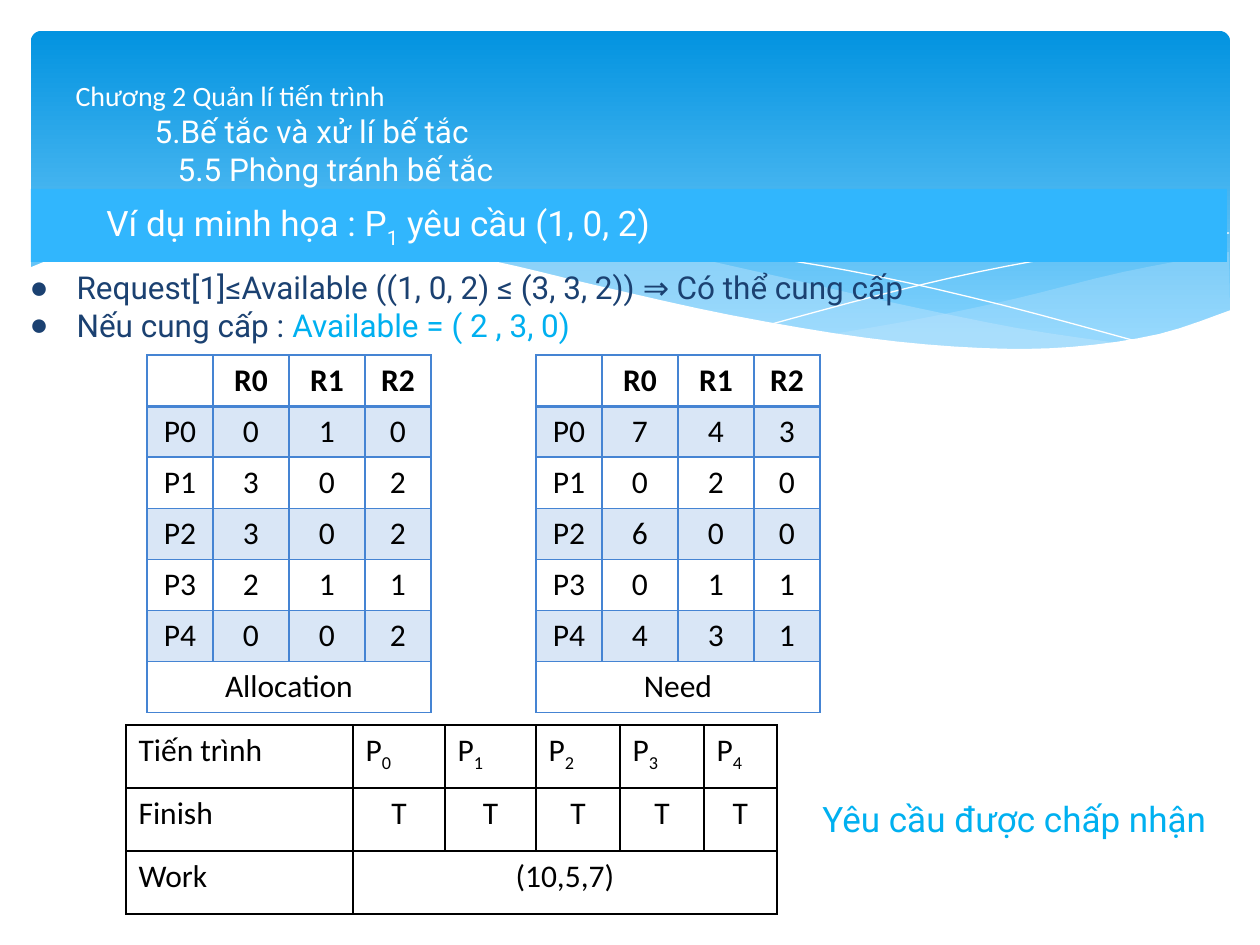
import pptx
import pptx.util
from lxml import etree
from pptx.dml.color import RGBColor
from pptx.enum.shapes import MSO_SHAPE
from pptx.enum.text import MSO_ANCHOR, MSO_AUTO_SIZE, PP_ALIGN
from pptx.oxml.ns import qn

EMU_PER_PX = 914400 / 126
WHITE, BLACK, NAVY, CYAN, TABLE_BLUE = "FFFFFF", "000000", "1B4171", "00B0F0", "4584D3"
CELL = {"name": "Calibri", "size": 18, "color": BLACK, "bold": False}
ROBOTO = {"name": "Roboto", "size": 18}

# Waves: outline points in px, from right to left and back
WAVE_RIGHT = [(1229, 252), (1123, 272), (1014, 299), (919, 319), (833, 334), (905, 344), (984, 349),
              (1063, 349), (1130, 340), (1187, 326), (1230, 311)]
WAVE_LEFT = [(1125, 344), (1017, 328), (890, 302), (772, 275), (664, 252), (556, 238), (455, 234),
             (360, 241), (456, 256), (566, 280), (713, 312), (819, 333), (927, 346), (1017, 352),
             (1125, 344)]
LINE_FALLING = [(389, 246), (457, 238), (546, 236), (643, 242), (766, 257), (876, 276), (1002, 305),
                (1143, 343)]
LINE_RISING = [(772, 324), (876, 296), (978, 272), (1091, 251), (1164, 239), (1229, 233)]
WAVE_WHITE = [(1231, 310), (1159, 334), (1071, 347), (980, 348), (867, 338), (730, 315), (599, 286),
              (493, 261), (397, 244), (315, 234), (223, 232), (134, 238), (74, 251), (29, 268)]

ALLOCATION = ["010", "302", "302", "211", "002"]
NEED = ["743", "020", "600", "011", "431"]


def px(length):
    return round(length * EMU_PER_PX)


def rgb(color):
    return RGBColor.from_string(color)


def set_alpha(fill_parent, percent):
    color = fill_parent.find(qn("a:solidFill"))[0]
    etree.SubElement(color, qn("a:alpha")).set("val", str(percent * 1000))


def place(shape, left, top, width, height):
    box = {"left": left, "top": top, "width": width, "height": height}
    for name, value in box.items():
        setattr(shape, name, px(value))


def add_run(paragraph, text, style):
    run = paragraph.add_run()
    run.text = text
    for name, value in style.items():
        if name == "color":
            run.font.color.rgb = rgb(value)
        elif name == "subscript":
            run._r.get_or_add_rPr().set("baseline", "-25000")
        else:
            setattr(run.font, name, pptx.util.Pt(value) if name == "size" else value)


def write_runs(paragraph, runs, style, align=PP_ALIGN.LEFT, margin=0, bullet=None):
    """Runs are (text, format differences) pairs."""
    values = {"alignment": align, "space_before": pptx.util.Pt(0), "line_spacing": 1.0}
    for name, value in values.items():
        setattr(paragraph, name, value)
    properties = paragraph._p.get_or_add_pPr()
    properties.set("marL", str(px(margin)))
    properties.set("indent", str(-px(margin) if bullet else 0))
    if bullet:
        etree.SubElement(properties, qn("a:buChar")).set("char", bullet)
    for text, changes in runs:
        add_run(paragraph, text, {**style, **changes})


def smooth(points, steps=4):
    """Catmull-Rom curve through the points."""
    padded = [points[0], *points, points[-1]]
    curve = [points[0]]
    for a, b, c, d in zip(padded, padded[1:], padded[2:], padded[3:]):
        for step in range(1, steps + 1):
            t = step / steps
            curve.append(tuple(
                (2 * q + (r - p) * t + (2 * p - 5 * q + 4 * r - s) * t ** 2
                 + (3 * q - p - 3 * r + s) * t ** 3) / 2
                for p, q, r, s in zip(a, b, c, d)))
    return curve


def add_wave(slide, points, fill=None, alpha=100, line=None):
    outline = [(px(x), px(y)) for x, y in points]
    builder = slide.shapes.build_freeform(*outline[0], scale=1.0)
    builder.add_line_segments(outline[1:], close=fill is not None)
    shape = builder.convert_to_shape()
    shape.shadow.inherit = False
    if fill:
        shape.fill.solid()
        shape.fill.fore_color.rgb = rgb(fill)
        set_alpha(shape._element.spPr, alpha)
        shape.line.fill.background()
    else:
        shape.fill.background()
        shape.line.color.rgb = rgb(line)
        shape.line.width = pptx.util.Pt(0)


def add_block(slide, kind, *box):
    shape = slide.shapes.add_shape(kind, *map(px, box))
    shape.shadow.inherit = False
    shape.line.fill.background()
    return shape


def add_banner(slide):
    banner = add_block(slide, MSO_SHAPE.ROUNDED_RECTANGLE, 31, 31, 1199, 340)
    banner.adjustments[0] = 0.03
    banner.fill.gradient()
    banner.fill.gradient_angle = 270
    for stop, position, color in zip(banner.fill.gradient_stops, (0, 0.9), ("0293E0", "83D3FE")):
        stop.position = position
        stop.color.rgb = rgb(color)
    add_wave(slide, smooth(WAVE_RIGHT[:5]) + smooth(WAVE_RIGHT[4:]), "C6E7FC", 29)
    add_wave(slide, smooth(WAVE_LEFT[:8]) + smooth(WAVE_LEFT[7:]), "C6E7FC", 40)
    for points in (LINE_FALLING, LINE_RISING):
        add_wave(slide, smooth(points), line=WHITE)
    add_wave(slide, smooth(WAVE_WHITE) + [(29, 415), (1231, 415)], WHITE)


def format_cell(cell, color, bottom=1, fill=None):
    properties = cell._tc.get_or_add_tcPr()
    for side, width in {"L": 1, "R": 1, "T": 1, "B": bottom}.items():
        border = etree.SubElement(properties, qn(f"a:ln{side}"), w=str(pptx.util.Pt(width)))
        solid = etree.SubElement(border, qn("a:solidFill"))
        etree.SubElement(solid, qn("a:srgbClr"), val=color)
    if fill:
        cell.fill.solid()
        cell.fill.fore_color.rgb = rgb(fill)
        set_alpha(properties, 20)
    else:
        cell.fill.background()


def add_grid(slide, left, top, widths, height, row_count):
    frame = slide.shapes.add_table(row_count, len(widths), px(left), px(top), px(sum(widths)), px(height))
    table = frame.table
    table.first_row = table.horz_banding = False
    for column, width in zip(table.columns, widths):
        column.width = px(width)
    for row in table.rows:
        row.height = px(height / row_count)
    return table


def add_resource_table(slide, left, caption, values):
    rows = [["", "R0", "R1", "R2"]]
    rows += [[f"P{i}", *digits] for i, digits in enumerate(values)] + [[caption, "", "", ""]]
    table = add_grid(slide, left, 355, [66, 76, 76, 66], 353, len(rows))
    last = len(rows) - 1
    table.cell(last, 0).merge(table.cell(last, 3))
    for i, row in enumerate(rows):
        for j, text in enumerate(row):
            cell = table.cell(i, j)
            format_cell(cell, TABLE_BLUE, 2 if i == 0 else 1, TABLE_BLUE if i % 2 else None)
            if text:
                write_runs(cell.text_frame.paragraphs[0], [(text, {"bold": i == 0})], CELL, PP_ALIGN.CENTER)


def add_process_table(slide):
    processes = [[("P", {}), (str(i), {"subscript": True})] for i in range(5)]
    rows = [[[("Tiến trình", {})], *processes],
            [[("Finish", {})]] + [[("T", {})]] * 5,
            [[("Work", {})], [("(10,5,7)", {})]] + [[]] * 4]
    table = add_grid(slide, 126, 725, [227, 92, 91, 84, 84, 73], 189, len(rows))
    table.cell(2, 1).merge(table.cell(2, 5))
    for i, row in enumerate(rows):
        for j, runs in enumerate(row):
            cell = table.cell(i, j)
            format_cell(cell, BLACK)
            if runs:
                align = PP_ALIGN.CENTER if i and j else PP_ALIGN.LEFT
                write_runs(cell.text_frame.paragraphs[0], runs, CELL, align)


def fill_placeholder(slide, shape, box, anchor, lines):
    """Lines are (runs, style, margin, bullet) rows; the shape moves to the front."""
    slide.shapes._spTree.append(shape._element)
    place(shape, *box)
    frame = shape.text_frame
    frame.auto_size = MSO_AUTO_SIZE.NONE
    frame.vertical_anchor = anchor
    for i, (runs, style, margin, bullet) in enumerate(lines):
        paragraph = frame.add_paragraph() if i else frame.paragraphs[0]
        write_runs(paragraph, runs, style, margin=margin, bullet=bullet)


def main():
    presentation = pptx.Presentation()
    presentation.slide_width, presentation.slide_height = px(1260), px(945)
    slide = presentation.slides.add_slide(presentation.slide_layouts[1])
    title, body = slide.placeholders
    add_banner(slide)

    # Title
    heading = {**ROBOTO, "color": WHITE}
    fill_placeholder(slide, title, (63, 47, 1134, 173), MSO_ANCHOR.MIDDLE, [
        ([("Chương 2 Quản lí tiến trình", {"name": "Calibri", "size": 16})], heading, 0, None),
        ([("5.Bế tắc và xử lí bế tắc", {})], heading, 79, None),
        ([("5.5 Phòng tránh bế tắc", {})], heading, 102, None)])

    # Example bar
    bar = add_block(slide, MSO_SHAPE.RECTANGLE, 31, 189, 1196, 73)
    bar.fill.solid()
    bar.fill.fore_color.rgb = rgb("31B6FD")
    bar.text_frame.vertical_anchor = MSO_ANCHOR.MIDDLE
    write_runs(bar.text_frame.paragraphs[0],
               [("Ví dụ minh họa : P", {}), ("1", {"subscript": True}), (" yêu cầu (1, 0, 2)", {})],
               {**heading, "size": 20}, margin=63)

    # Request check
    item = {**ROBOTO, "color": NAVY}
    fill_placeholder(slide, body, (17, 262, 1206, 89), MSO_ANCHOR.TOP, [
        ([("Request[1]≤Available ((1, 0, 2) ≤ (3, 3, 2)) ⇒ Có thể cung cấp", {})], item, 47, "●"),
        ([("Nếu cung cấp : ", {}), ("Available = ( 2 , 3, 0)", {"color": CYAN})], item, 47, "●")])

    # Tables and conclusion
    add_resource_table(slide, 147, "Allocation", ALLOCATION)
    add_resource_table(slide, 536, "Need", NEED)
    add_process_table(slide)
    conclusion = slide.shapes.add_textbox(*map(px, (810, 791, 412, 55)))
    conclusion.text_frame.word_wrap = False
    write_runs(conclusion.text_frame.paragraphs[0], [("Yêu cầu được chấp nhận", {})],
               {**ROBOTO, "size": 20, "color": CYAN})

    presentation.save("out.pptx")


if __name__ == "__main__":
    main()
